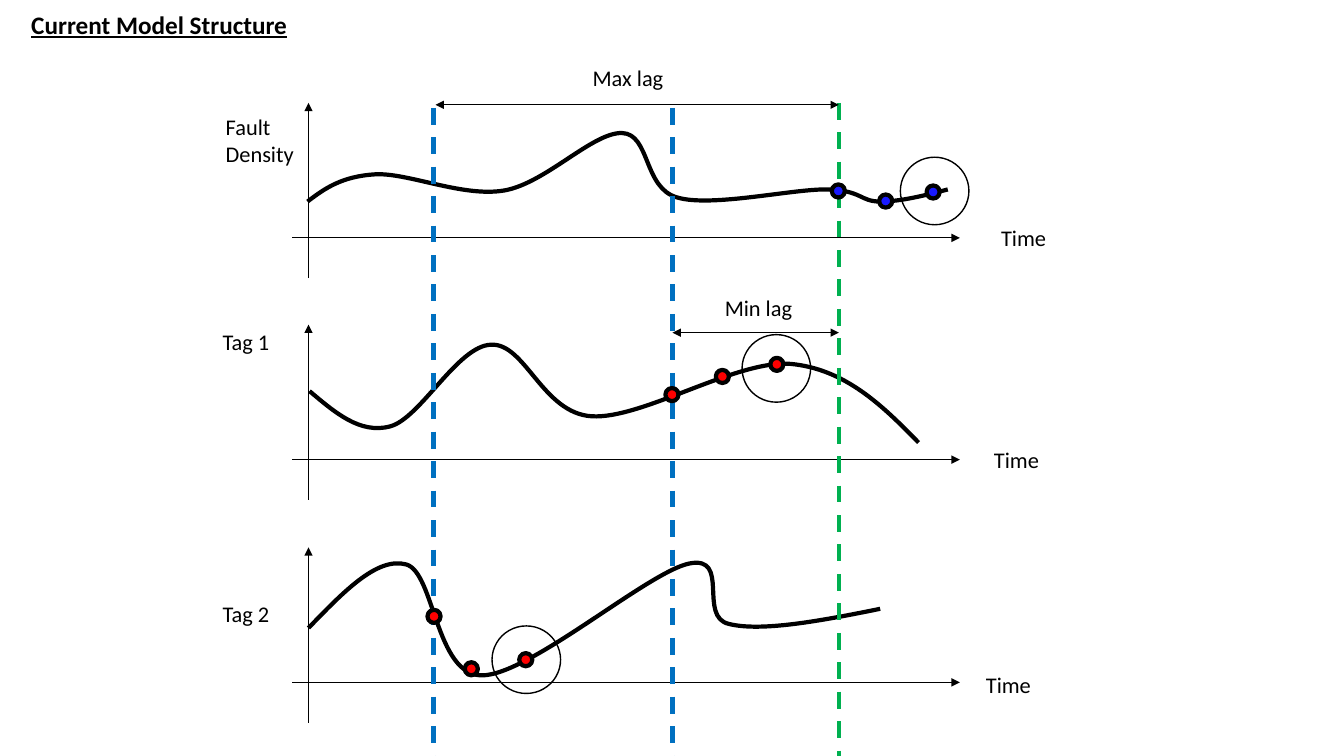
from dataclasses import dataclass

from lxml import etree
from pptx import Presentation
from pptx import util as u
from pptx.dml.color import RGBColor
from pptx.enum import dml, shapes, text
from pptx.oxml import ns


@dataclass(frozen=True)
class Theme:
    font: str = "Calibri"
    title_size: int = 18
    label_size: int = 16
    black: str = "000000"
    max_lag: str = "0070C0"
    now: str = "00B050"
    fault: str = "1919FF"
    tag: str = "FF0000"
    thin: float = 0.75
    ring: float = 1
    thick: float = 3


THEME = Theme()
AXIS_X = 3.06
MAX_LAG_X, MIN_LAG_X, NOW_X = 4.3, 6.67, 8.32
MARKER = 0.13
RING = 0.68, 0.67

# Each row: axis height, label with its place, left of "Time" and its top,
# Bezier points of the curve, marker colour, marker corners, ring corner
ROWS = [
    (2.36, "Fault\nDensity", (2.14, 1.07, 0.89, 0.64), (9.83, 2.17),
     [(3.05, 2), (3.22, 1.87), (3.39, 1.75), (3.72, 1.73),
      (4.04, 1.71), (4.59, 1.96), (5, 1.89),
      (5.41, 1.82), (5.88, 1.31), (6.17, 1.32),
      (6.45, 1.33), (6.38, 1.87), (6.72, 1.96),
      (7.06, 2.06), (7.88, 1.87), (8.21, 1.88),
      (8.55, 1.89), (8.53, 2), (8.73, 2),
      (8.93, 2), (9.17, 1.94), (9.4, 1.88)],
     THEME.fault, [(8.25, 1.83), (8.72, 1.93), (9.19, 1.84)], (8.93, 1.56)),
    (4.56, "Tag 1", (2.11, 3.21, 0.67, 0.37), (9.76, 4.38),
     [(3.07, 3.88), (3.32, 4.09), (3.57, 4.31), (3.87, 4.23),
      (4.17, 4.15), (4.54, 3.43), (4.87, 3.42),
      (5.21, 3.4), (5.38, 4.1), (5.87, 4.13),
      (6.37, 4.16), (7.3, 3.57), (7.84, 3.61),
      (8.38, 3.66), (8.75, 4.02), (9.11, 4.39)],
     THEME.tag, [(6.6, 3.85), (7.1, 3.67), (7.64, 3.55)], (7.36, 3.32)),
    (6.77, "Tag 2", (2.11, 5.9, 0.67, 0.37), (9.68, 6.61),
     [(3.06, 6.23), (3.4, 5.88), (3.74, 5.52), (4.03, 5.6),
      (4.31, 5.68), (4.32, 6.7), (4.78, 6.7),
      (5.25, 6.7), (6.43, 5.67), (6.84, 5.59),
      (7.25, 5.51), (6.92, 6.12), (7.23, 6.19),
      (7.55, 6.27), (8.14, 6.16), (8.73, 6.04)],
     THEME.tag, [(4.24, 6.05), (4.61, 6.57), (5.15, 6.48)], (4.88, 6.21)),
]


def write(frame, words, size=THEME.label_size, bold=False, underline=False, wrap=False):
    frame.word_wrap = wrap
    for index, line in enumerate(words.split("\n")):
        para = frame.paragraphs[0] if index == 0 else frame.add_paragraph()
        para.alignment = text.PP_ALIGN.LEFT
        span = para.add_run()
        span.text = line
        span.font.name = THEME.font
        span.font.size = u.Pt(size)
        span.font.bold = bold
        span.font.underline = underline
        span.font.color.rgb = RGBColor.from_string(THEME.black)


def add_title(page, words):
    title = page.shapes.title
    title.left, title.top = u.Inches(0.21), u.Inches(0.04)
    title.width, title.height = u.Inches(3.51), u.Inches(0.4)
    frame = title.text_frame
    frame.vertical_anchor = text.MSO_ANCHOR.TOP
    frame.auto_size = text.MSO_AUTO_SIZE.NONE
    write(frame, words, size=THEME.title_size, bold=True, underline=True, wrap=True)


def add_label(page, words, left, top, width, height=0.37):
    box = page.shapes.add_textbox(*map(u.Inches, (left, top, width, height)))
    write(box.text_frame, words)


def set_line(line, color, width):
    line.color.rgb = RGBColor.from_string(color)
    line.width = u.Pt(width)


def add_line(page, start, end, color=THEME.black, width=THEME.thin, dashed=False, arrows=()):
    line = page.shapes.add_connector(
        shapes.MSO_CONNECTOR.STRAIGHT, *map(u.Inches, (*start, *end)))
    set_line(line.line, color, width)
    if dashed:
        line.line.dash_style = dml.MSO_LINE.DASH
    properties = line._element.spPr
    for arrow in arrows:
        etree.SubElement(properties.find(ns.qn("a:ln")), ns.qn(f"a:{arrow}"), type="triangle")
    etree.SubElement(properties, ns.qn("a:effectLst"))


def add_circle(page, left, top, width, height, weight, fill=None):
    circle = page.shapes.add_shape(
        shapes.MSO_SHAPE.OVAL, *map(u.Inches, (left, top, width, height)))
    circle.shadow.inherit = False
    set_line(circle.line, THEME.black, weight)
    if fill:
        circle.fill.solid()
        circle.fill.fore_color.rgb = RGBColor.from_string(fill)
    else:
        circle.fill.background()


def add_curve(page, points):
    start, *rest = [(u.Inches(x), u.Inches(y)) for x, y in points]
    builder = page.shapes.build_freeform(*start)
    builder.add_line_segments(rest, close=False)
    curve = builder.convert_to_shape()
    curve.shadow.inherit = False
    curve.fill.background()
    set_line(curve.line, THEME.black, THEME.thick)
    # Turn each three straight segments into one Bezier segment
    segments = list(curve._element.iter(ns.qn("a:lnTo")))
    for first in range(0, len(segments), 3):
        bezier = etree.Element(ns.qn("a:cubicBezTo"))
        segments[first].addprevious(bezier)
        for segment in segments[first:first + 3]:
            bezier.append(segment[0])
            segment.getparent().remove(segment)


def add_axes(page, y):
    add_line(page, (2.9, y), (9.52, y), arrows=["tailEnd"])
    add_line(page, (AXIS_X, y + 0.4), (AXIS_X, y - 1.34), arrows=["tailEnd"])


def add_lag(page, words, start_x, y, label_left, label_top):
    add_line(page, (NOW_X, y), (start_x, y), arrows=["headEnd", "tailEnd"])
    add_label(page, words, label_left, label_top, 0.9)


def main():
    deck = Presentation()
    deck.slide_width, deck.slide_height = u.Inches(13.33), u.Inches(7.5)
    page = deck.slides.add_slide(deck.slide_layouts.get_by_name("Title Only"))
    add_title(page, "Current Model Structure")

    # Axes, labels and curves
    for y, name, name_place, time_place, points, *_ in ROWS:
        add_axes(page, y)
        add_label(page, name, *name_place)
        add_label(page, "Time", *time_place, 0.65)
        add_curve(page, points)

    # Lag limits and their spans
    for x, top, color in [(MAX_LAG_X, 1.07, THEME.max_lag),
                          (MIN_LAG_X, 1.07, THEME.max_lag),
                          (NOW_X, 1.02, THEME.now)]:
        add_line(page, (x, top), (x, 7.5), color, THEME.thick, dashed=True)
    add_lag(page, "Max lag", MAX_LAG_X + 0.02, 1.04, 5.78, 0.59)
    add_lag(page, "Min lag", MIN_LAG_X, 3.3, 7.09, 2.87)

    # Sample points and the rings around the selected ones
    for *_, color, markers, ring in ROWS:
        for marker in markers:
            add_circle(page, *marker, MARKER, MARKER, THEME.thick, color)
        add_circle(page, *ring, *RING, THEME.ring)

    deck.save("out.pptx")


if __name__ == "__main__":
    main()
